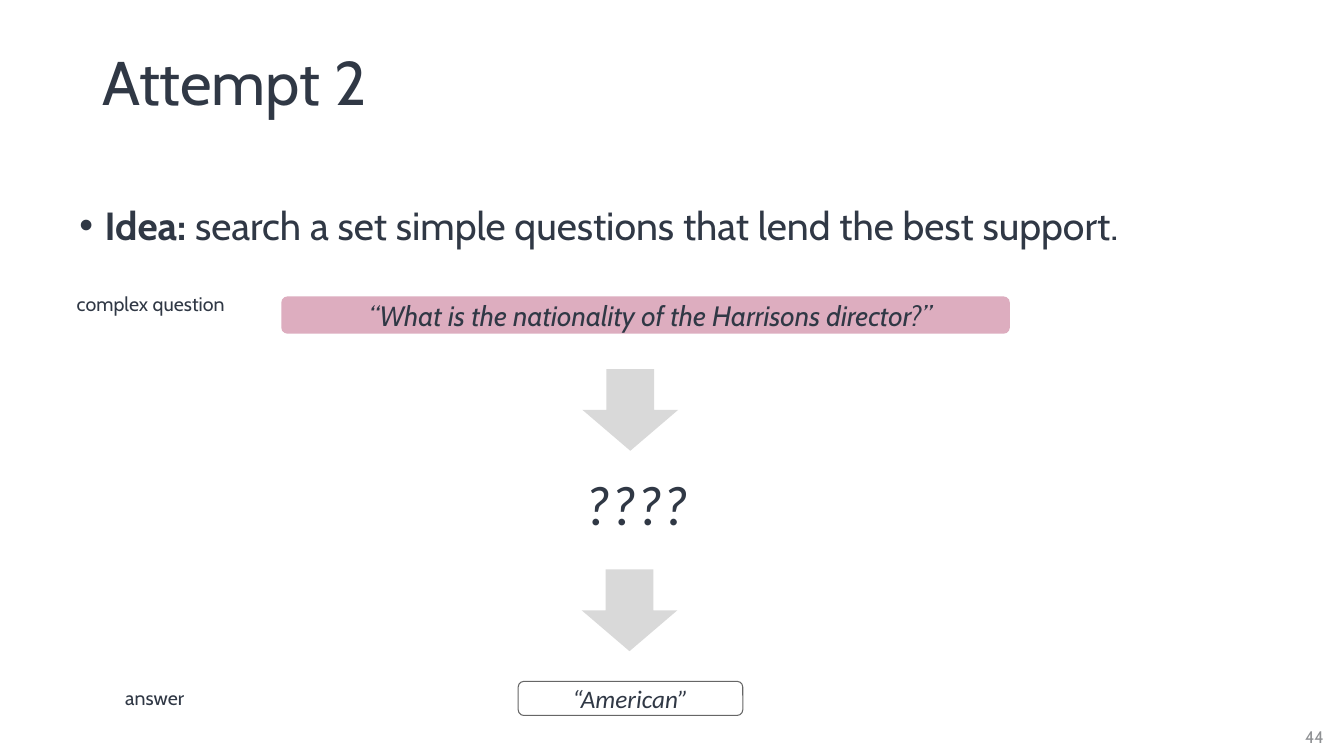
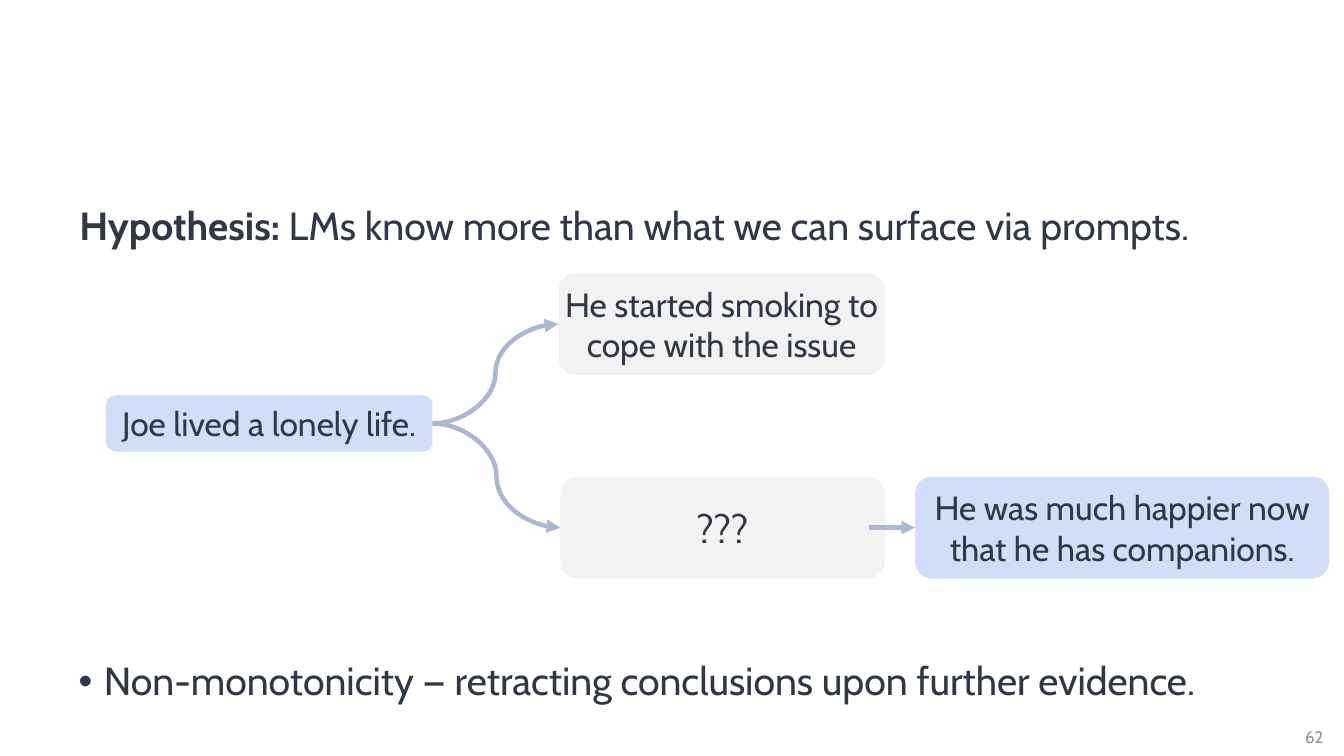
"""Two slides on searching simple questions and on what language models know."""
from lxml.etree import SubElement
from pptx import Presentation
from pptx.dml.color import RGBColor
from pptx.enum.shapes import MSO_CONNECTOR, MSO_SHAPE
from pptx.enum.text import MSO_ANCHOR, PP_ALIGN
from pptx.oxml.ns import qn
from pptx.util import Cm, Pt

INK = "303845"
GREY_TEXT = "8F9194"
ROSE = "DDADBF"
ARROW_GREY = "D9D9D9"
PANEL_GREY = "F2F2F2"
PALE_BLUE = "D2DEF7"
LINK_BLUE = "AEB7D0"
BORDER = "666666"
RIGHT_SITE, LEFT_SITE = 3, 1


def rgb(code):
    return RGBColor.from_string(code)


class Deck:
    font = "Cabin"

    def __init__(self):
        self.prs = Presentation()
        self.prs.slide_width, self.prs.slide_height = Cm(33.87), Cm(19.05)
        self.slide = None

    def new_slide(self, number):
        self.slide = self.prs.slides.add_slide(self.prs.slide_layouts[6])
        self.text((32.39, 18.06, 1.47, 1.02), number, 12, color=GREY_TEXT,
                  anchor=MSO_ANCHOR.MIDDLE)

    def put_words(self, frame, words, size, color=INK, font=None, italic=False,
                  align=PP_ALIGN.CENTER, anchor=MSO_ANCHOR.TOP):
        frame.word_wrap = True
        frame.vertical_anchor = anchor
        paragraph = frame.paragraphs[0]
        paragraph.alignment = align
        paragraph.add_run().text = words
        style = paragraph.font
        style.name, style.size, style.italic = font or self.font, Pt(size), italic
        style.color.rgb = rgb(color)
        return paragraph

    def text(self, area, words, size, **style):
        box = self.slide.shapes.add_textbox(*map(Cm, area))
        return self.put_words(box.text_frame, words, size, **style)

    def title(self, words):
        heading = self.text((2.34, 0.81, 29.21, 2.67), words, 44,
                            align=PP_ALIGN.LEFT, anchor=MSO_ANCHOR.MIDDLE)
        heading.line_spacing = 0.9

    def statement(self, area, words, lead="", bullet=False):
        box = self.slide.shapes.add_textbox(*map(Cm, area))
        paragraph = box.text_frame.paragraphs[0]
        if bullet:
            props = paragraph._p.get_or_add_pPr()
            props.set("marL", str(Cm(0.64)))
            props.set("indent", str(-Cm(0.64)))
            SubElement(props, qn("a:buFont"), typeface="Arial")
            SubElement(props, qn("a:buChar"), char="•")
        if lead:
            run = paragraph.add_run()
            run.text, run.font.bold = lead, True
        self.put_words(box.text_frame, words, 28, align=PP_ALIGN.LEFT)
        paragraph.line_spacing = 0.9

    def shape(self, kind, area, fill=None, line=None):
        shape = self.slide.shapes.add_shape(kind, *map(Cm, area))
        shape.shadow.inherit = False
        if fill:
            shape.fill.solid()
            shape.fill.fore_color.rgb = rgb(fill)
        else:
            shape.fill.background()
        if line:
            shape.line.color.rgb = rgb(line)
            shape.line.width = Pt(0.75)
        else:
            shape.line.fill.background()
        return shape

    def card(self, area, words, size, fill=None, line=None, left=0,
             kind=MSO_SHAPE.ROUNDED_RECTANGLE, **style):
        card = self.shape(kind, area, fill, line)
        frame = card.text_frame
        frame.margin_left = Cm(left)
        frame.margin_right = frame.margin_top = frame.margin_bottom = 0
        self.put_words(frame, words, size, anchor=MSO_ANCHOR.MIDDLE, **style)
        return card

    def down_arrow(self, left, top):
        self.shape(MSO_SHAPE.DOWN_ARROW, (left, top, 2.41, 2.06), ARROW_GREY)

    def link(self, source, target, overlap=0):
        start = source.left + source.width - Cm(overlap)
        link = self.slide.shapes.add_connector(
            MSO_CONNECTOR.CURVE, start, source.top + source.height // 2,
            target.left, target.top + target.height // 2)
        if not overlap:
            link.begin_connect(source, RIGHT_SITE)
        link.end_connect(target, LEFT_SITE)
        link.line.color.rgb = rgb(LINK_BLUE)
        link.line.width = Pt(3.25)
        props = link._element.spPr
        SubElement(props.find(qn("a:ln")), qn("a:tailEnd"), type="triangle")
        SubElement(props, qn("a:effectLst"))


def attempt_slide(deck):
    deck.new_slide("44")
    deck.title("Attempt 2")
    deck.statement((1.75, 5.08, 29.79, 12.09),
                   "search a set simple questions that lend the best support.",
                   lead="Idea: ", bullet=True)
    deck.card((7.09, 7.47, 18.36, 0.94),
              "“What is the nationality of the Harrisons director?”", 20,
              fill=ROSE, left=0.25, italic=True)
    deck.text((1.3, 7.24, 5, 0.86), "complex question", 14)
    deck.text((1.4, 17.15, 5, 0.86), "answer", 14)
    deck.card((13.06, 17.17, 5.66, 0.86), "“American”", 18, line=BORDER,
              font="Calibri", italic=True)
    deck.down_arrow(14.68, 9.3)
    deck.down_arrow(14.66, 14.35)
    deck.text((14.48, 11.71, 4.22, 1.96), "????", 40, font="Calibri",
              italic=True, align=PP_ALIGN.LEFT)


def hypothesis_slide(deck):
    deck.new_slide("62")
    deck.statement((1.75, 5.08, 29.79, 12.09),
                   " LMs know more than what we can surface via prompts.",
                   lead="Hypothesis:")
    lonely = deck.card((2.67, 9.96, 8.23, 1.42), "Joe lived a lonely life.", 24,
                       fill=PALE_BLUE)
    smoking = deck.card((14.07, 6.88, 8.23, 2.57),
                        "He started smoking to cope with the issue", 24,
                        fill=PANEL_GREY)
    unknown = deck.card((14.12, 12.01, 8.18, 2.57), "???", 28, fill=PANEL_GREY,
                        kind=MSO_SHAPE.FLOWCHART_ALTERNATE_PROCESS)
    happier = deck.card((23.06, 12.01, 10.44, 2.57),
                        "He was much happier now that he has companions.", 24,
                        fill=PALE_BLUE)
    deck.link(lonely, smoking)
    deck.link(lonely, unknown)
    deck.link(unknown, happier, overlap=0.41)
    deck.statement((1.73, 16.56, 29.21, 2.36),
                   "Non-monotonicity — retracting conclusions upon further evidence.",
                   bullet=True)


def main():
    deck = Deck()
    attempt_slide(deck)
    hypothesis_slide(deck)
    deck.prs.save("out.pptx")


if __name__ == "__main__":
    main()
